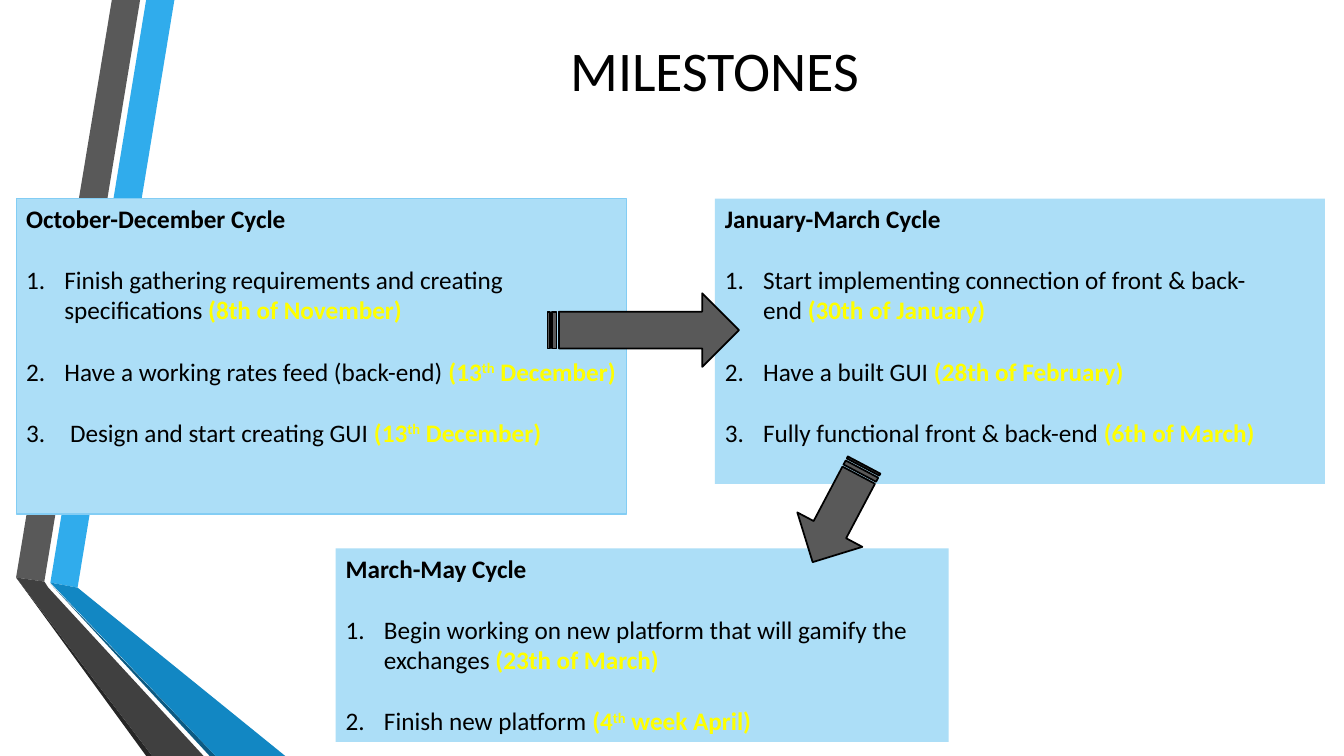
from pptx import Presentation
from pptx.dml.color import RGBColor
from pptx.enum.shapes import MSO_SHAPE as Shape
from pptx.enum.text import MSO_ANCHOR as Anchor, PP_ALIGN as Align
from pptx.util import Inches, Pt
from lxml.etree import SubElement
from pptx.oxml.ns import qn

FONT = "Calibri"
BLACK, YELLOW, SKY, GREY = "000000", "FFFF00", "ACDEF7", "595959"
LINE_GAP = 22  # one empty 18 pt line
INDENT = 0.38

TITLE = "MILESTONES"

# Each ribbon: fill colour and outline points
RIBBONS = [
    ("30ACEC", [(0.5, 5.78), (0.77, 5.83), (1.73, 0), (1.45, 0)]),
    (GREY, [(1.39, 0), (1.11, 0), (0.16, 5.73), (0.44, 5.77)]),
    ("262626", [(0.16, 5.73), (1.45, 7.5), (1.51, 7.5)]),
    ("0C5A82", [(0.5, 5.79), (2.08, 7.5), (2.14, 7.5)]),
    ("1287C3", [(0.5, 5.78), (2.14, 7.5), (2.83, 7.5), (0.77, 5.83)]),
    ("404040", [(2.02, 7.5), (0.48, 5.83), (0.44, 5.77), (0.16, 5.73), (1.51, 7.5)]),
]

# "~" is a no-break space, "^" switches superscript on and off
CYCLES = [
    {"heading": "October-December~Cycle", "box": (0.16, 1.97, 6.05, 3.13), "edge": "83CDF4",
     "goals": [
         ("Finish gathering requirements and~creating specifications ", "(8th of November)~"),
         ("Have a working~rates feed~(back-end)~", "(13^th^~December)"),
         ("~Design and~start~creating~GUI~", "(13^th^~December)~")]},
    {"heading": "January-March~Cycle~", "box": (7.09, 1.97, 6.05, 2.83), "edge": None,
     "goals": [
         ("Start implementing connection of front &~back-end~", "(30th of January)~"),
         ("Have a built GUI~", "(28th of February)~"),
         ("Fully functional front &~back-end~", "(6th of March)~")]},
    {"heading": "March-May~Cycle~", "box": (3.33, 5.44, 6.08, 1.92), "edge": None,
     "goals": [
         ("Begin working on new platform~that will gamify the exchanges~", "(23th of March)"),
         ("Finish new~platform ", "(4^th^~week April)~")]},
]

# Position and rotation of the arrows between cycles
ARROWS = [((5.43, 2.91, 1.9, 0.73), 0), ((7.77, 4.73, 1.09, 0.73), 117.9)]


def rgb(value):
    return RGBColor.from_string(value)


def paint(shape, fill, edge=None, width=0.75):
    shape.shadow.inherit = False
    shape.fill.solid()
    shape.fill.fore_color.rgb = rgb(fill)
    if edge:
        shape.line.color.rgb = rgb(edge)
        shape.line.width = Pt(width)
    else:
        shape.line.fill.background()


def write(paragraph, text, color=BLACK, size=18, bold=False):
    for index, part in enumerate(text.replace("~", "\u00a0").split("^")):
        run = paragraph.add_run()
        run.text = part
        for key, value in {"name": FONT, "size": Pt(size), "bold": bold}.items():
            setattr(run.font, key, value)
        run.font.color.rgb = rgb(color)
        if index % 2:
            run.font._element.set("baseline", "30000")


def number(paragraph):
    props = paragraph._p.get_or_add_pPr()
    props.set("marL", str(Inches(INDENT)))
    props.set("indent", str(-Inches(INDENT)))
    SubElement(props, qn("a:buFont"), typeface="+mj-lt")
    SubElement(props, qn("a:buAutoNum"), type="arabicPeriod")


prs = Presentation()
prs.slide_width, prs.slide_height = Inches(13.33), Inches(7.5)
slide = prs.slides.add_slide(prs.slide_layouts[6])
shapes = slide.shapes

# Folded ribbons on the left
for color, points in RIBBONS:
    corners = [(Inches(x), Inches(y)) for x, y in points]
    outline = shapes.build_freeform(*corners[0])
    outline.add_line_segments(corners[1:], close=True)
    paint(outline.convert_to_shape(), color)

# Title
title = shapes.add_textbox(*map(Inches, (1.61, 0, 10.96, 1.38))).text_frame
title.word_wrap = True
title.vertical_anchor = Anchor.MIDDLE
title.paragraphs[0].alignment = Align.CENTER
write(title.paragraphs[0], TITLE, size=40)

# Cycle boxes with numbered goals
for cycle in CYCLES:
    box = shapes.add_shape(Shape.RECTANGLE, *map(Inches, cycle["box"]))
    paint(box, SKY, cycle["edge"])
    frame = box.text_frame
    frame.word_wrap = True
    frame.vertical_anchor = Anchor.TOP
    heading = frame.paragraphs[0]
    heading.alignment = Align.LEFT
    write(heading, cycle["heading"], bold=True)
    for task, deadline in cycle["goals"]:
        goal = frame.add_paragraph()
        goal.alignment = Align.LEFT
        goal.space_before = Pt(LINE_GAP)
        number(goal)
        write(goal, task)
        write(goal, deadline, YELLOW, bold=True)

# Arrows from cycle to cycle
for place, angle in ARROWS:
    arrow = shapes.add_shape(Shape.STRIPED_RIGHT_ARROW, *map(Inches, place))
    arrow.rotation = angle
    paint(arrow, GREY, BLACK, 1.25)

prs.save("out.pptx")
